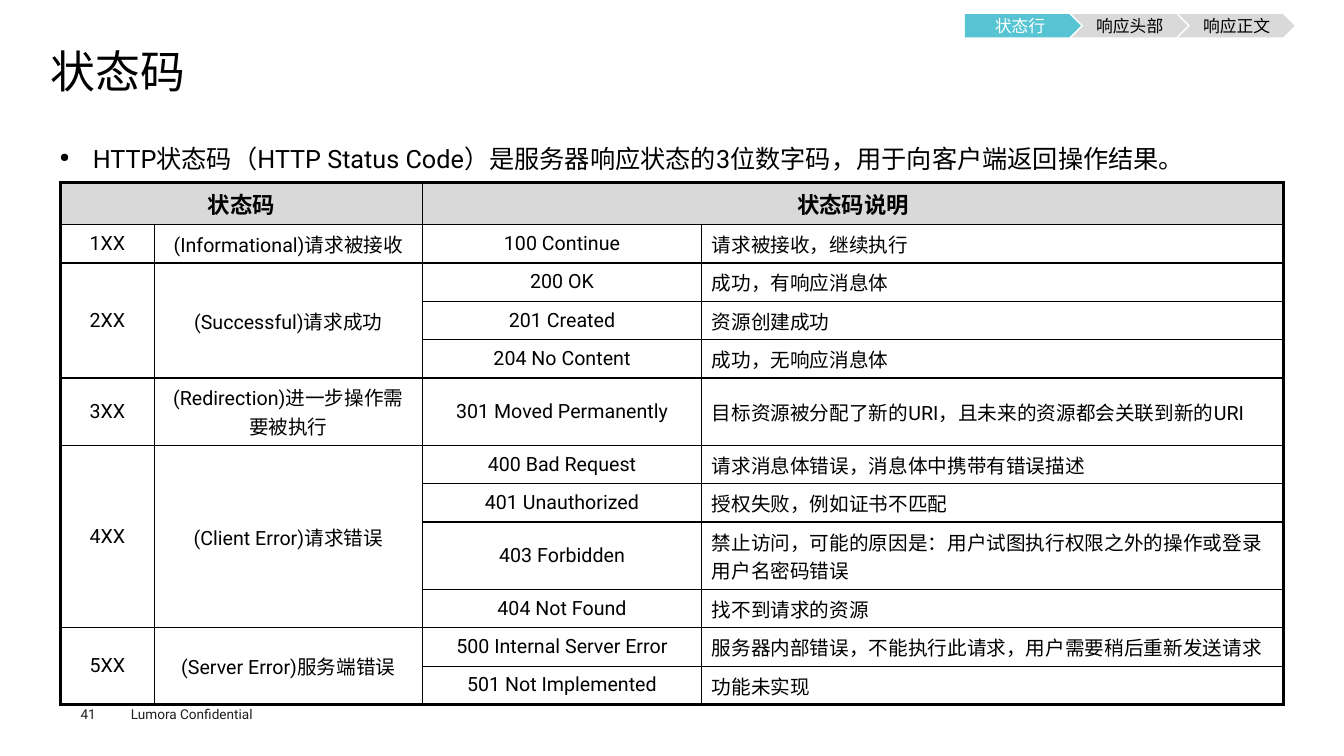
from lxml import etree
from pptx import Presentation
from pptx.dml.color import RGBColor
from pptx.enum.shapes import MSO_SHAPE
from pptx.enum.text import MSO_ANCHOR, PP_ALIGN
from pptx.oxml.ns import qn
from pptx.util import Inches, Pt

LEFT, CENTER, JUSTIFY = PP_ALIGN.LEFT, PP_ALIGN.CENTER, PP_ALIGN.JUSTIFY
TOP, MIDDLE = MSO_ANCHOR.TOP, MSO_ANCHOR.MIDDLE
PENTAGON, CHEVRON = MSO_SHAPE.PENTAGON, MSO_SHAPE.CHEVRON
FONT = "Roboto"
COLORS = {
    "text": "000000",
    "footer": "1D1D1B",
    "white": "FFFFFF",
    "grey": "D9D9D9",
    "teal": "56C4D2",
}
THIN, THICK = 1, 2.25
HEADER_HEIGHT, ROW_HEIGHT, TALL_HEIGHT = 0.42, 0.38, 0.67
COLUMN_WIDTHS = [0.93, 2.66, 2.77, 5.77]
HEADERS = {0: "状态码", 2: "状态码说明"}
TALL_CODES = ("301", "403")
STATUS_GROUPS = [
    ("1XX", "(Informational)请求被接收", [
        ("100 Continue", "请求被接收，继续执行"),
    ]),
    ("2XX", "(Successful)请求成功", [
        ("200 OK", "成功，有响应消息体"),
        ("201 Created", "资源创建成功"),
        ("204 No Content", "成功，无响应消息体"),
    ]),
    ("3XX", "(Redirection)进一步操作需要被执行", [
        ("301 Moved Permanently", "目标资源被分配了新的URI，且未来的资源都会关联到新的URI"),
    ]),
    ("4XX", "(Client Error)请求错误", [
        ("400 Bad Request", "请求消息体错误，消息体中携带有错误描述"),
        ("401 Unauthorized", "授权失败，例如证书不匹配"),
        ("403 Forbidden", "禁止访问，可能的原因是：用户试图执行权限之外的操作或登录用户名密码错误"),
        ("404 Not Found", "找不到请求的资源"),
    ]),
    ("5XX", "(Server Error)服务端错误", [
        ("500 Internal Server Error", "服务器内部错误，不能执行此请求，用户需要稍后重新发送请求"),
        ("501 Not Implemented", "功能未实现"),
    ]),
]


def color(name):
    return RGBColor.from_string(COLORS[name])


def write(text_frame, text, size, color_name="text", align=LEFT, bold=False):
    paragraph = text_frame.paragraphs[0]
    paragraph.alignment = align
    run = paragraph.add_run()
    run.text = text
    run.font.name = FONT
    run.font.size = Pt(size)
    run.font.bold = bold
    run.font.color.rgb = color(color_name)
    return paragraph


def set_margins(text_frame, horizontal, vertical):
    text_frame.margin_left = text_frame.margin_right = Inches(horizontal)
    text_frame.margin_top = text_frame.margin_bottom = Inches(vertical)


def add_text_box(slide, box, horizontal, vertical):
    text_frame = slide.shapes.add_textbox(*map(Inches, box)).text_frame
    text_frame.word_wrap = True
    set_margins(text_frame, horizontal, vertical)
    return text_frame


def add_title(slide, box):
    title = slide.shapes.title
    title.left, title.top, title.width, title.height = map(Inches, box)
    text_frame = title.text_frame
    set_margins(text_frame, 0, 0)
    text_frame.vertical_anchor = TOP
    write(text_frame, "状态码", 32).line_spacing = 0.9


def add_summary(slide, box):
    text_frame = add_text_box(slide, box, 0.09, 0.04)
    properties = text_frame.paragraphs[0]._p.get_or_add_pPr()
    properties.set("marL", str(Inches(0.33)))
    properties.set("indent", str(-Inches(0.33)))
    etree.SubElement(properties, qn("a:buSzPct"), val="50000")
    etree.SubElement(properties, qn("a:buChar"), char="●")
    text = "HTTP状态码（HTTP Status Code）是服务器响应状态的3位数字码，用于向客户端返回操作结果。"
    write(text_frame, text, 18, align=JUSTIFY).line_spacing = 1.4


def set_borders(cell, widths):
    properties = cell._tc.get_or_add_tcPr()
    for side, width in zip("LRTB", widths):
        line = etree.SubElement(properties, qn("a:ln" + side), w=str(Pt(width)))
        fill = etree.SubElement(line, qn("a:solidFill"))
        etree.SubElement(fill, qn("a:srgbClr"), val=COLORS["text"])


def format_cells(table):
    row_count, column_count = len(table.rows), len(table.columns)
    for row in range(row_count):
        for column in range(column_count):
            cell = table.cell(row, column)
            right = column + cell.span_width if cell.is_merge_origin else column + 1
            bottom = row + cell.span_height if cell.is_merge_origin else row + 1
            outer = (column == 0, right == column_count, row == 0, bottom == row_count)
            set_borders(cell, [THICK if edge else THIN for edge in outer])
            cell.vertical_anchor = MIDDLE
            if row == 0:
                cell.fill.solid()
                cell.fill.fore_color.rgb = color("grey")
            else:
                cell.fill.background()


def add_status_table(slide, box):
    row_count = 1 + sum(len(codes) for _, _, codes in STATUS_GROUPS)
    frame = slide.shapes.add_table(row_count, len(COLUMN_WIDTHS), *map(Inches, box))
    table = frame.table
    table.first_row = table.horz_banding = False
    for column, width in zip(table.columns, COLUMN_WIDTHS):
        column.width = Inches(width)
    table.rows[0].height = Inches(HEADER_HEIGHT)
    for column, text in HEADERS.items():
        table.cell(0, column).merge(table.cell(0, column + 1))
        write(table.cell(0, column).text_frame, text, 16, align=CENTER, bold=True)
    row = 1
    for group, meaning, codes in STATUS_GROUPS:
        for column, text in enumerate((group, meaning)):
            if len(codes) > 1:
                table.cell(row, column).merge(table.cell(row + len(codes) - 1, column))
            write(table.cell(row, column).text_frame, text, 14, align=CENTER)
        for code, description in codes:
            tall = code.startswith(TALL_CODES)
            table.rows[row].height = Inches(TALL_HEIGHT if tall else ROW_HEIGHT)
            write(table.cell(row, 2).text_frame, code, 14, align=CENTER)
            write(table.cell(row, 3).text_frame, description, 14)
            row += 1
    format_cells(table)


def add_steps(slide, box):
    left, top, width, height = box
    steps = [
        ("状态行", PENTAGON, "teal", "white"),
        ("响应头部", CHEVRON, "grey", "text"),
        ("响应正文", CHEVRON, "grey", "text"),
    ]
    step_width = 1.15
    pitch = (width - step_width) / (len(steps) - 1)
    for index, (text, kind, fill, text_color) in enumerate(steps):
        step_box = (left + index * pitch, top, step_width, height)
        shape = slide.shapes.add_shape(kind, *map(Inches, step_box))
        shape.shadow.inherit = False
        shape.fill.solid()
        shape.fill.fore_color.rgb = color(fill)
        shape.line.fill.background()
        set_margins(shape.text_frame, 0, 0)
        shape.text_frame.vertical_anchor = MIDDLE
        write(shape.text_frame, text, 12, text_color, CENTER)


def add_footer(slide, box):
    left, top, width, height = box
    number_frame = add_text_box(slide, (left, top + 0.05, 0.4, height - 0.1), 0, 0)
    write(number_frame, "41", 9.7, "footer")
    label_frame = add_text_box(slide, (left + 0.4, top, width - 0.4, height), 0.1, 0.05)
    write(label_frame, "Lumora Confidential", 9.7, "footer")


def main():
    presentation = Presentation()
    presentation.slide_width = Inches(13.33)
    presentation.slide_height = Inches(7.5)
    slide = presentation.slides.add_slide(presentation.slide_layouts[5])
    add_footer(slide, (0.8, 6.95, 2, 0.27))
    add_title(slide, (0.5, 0.49, 12.35, 0.53))
    add_summary(slide, (0.5, 1.26, 12.35, 0.5))
    add_status_table(slide, (0.6, 1.81, 12.13, 4.5))
    add_steps(slide, (9.57, 0.14, 3.27, 0.23))
    presentation.save("out.pptx")


if __name__ == "__main__":
    main()
